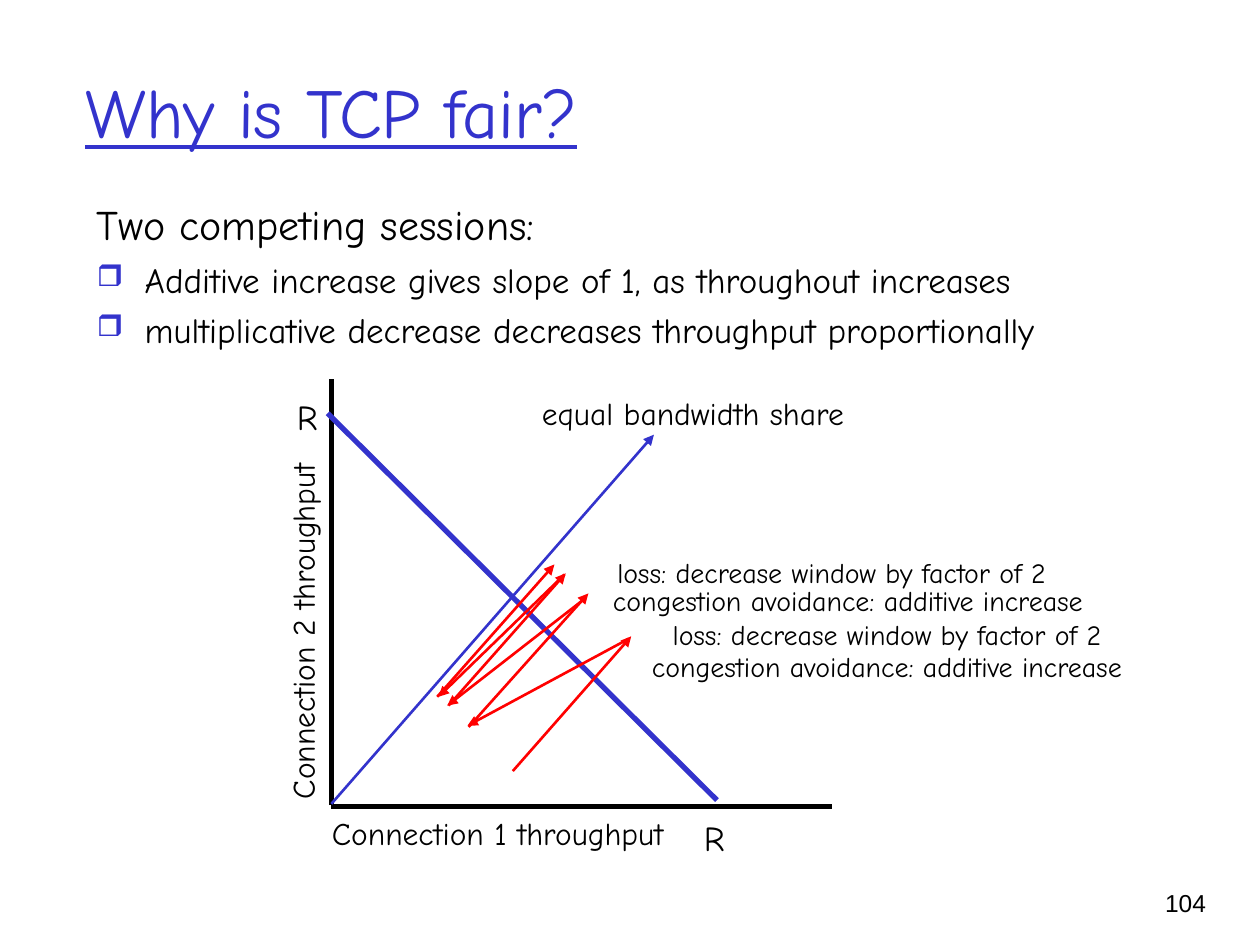
from dataclasses import dataclass

from lxml.etree import SubElement
from pptx import Presentation
from pptx.dml.color import RGBColor
from pptx.enum.shapes import MSO_CONNECTOR
from pptx.enum.text import MSO_ANCHOR, PP_ALIGN
from pptx.oxml.ns import qn
from pptx.slide import Slide
from pptx.util import Inches, Pt

BLUE = RGBColor(0x33, 0x33, 0xCC)
BLACK = RGBColor(0x00, 0x00, 0x00)
RED = RGBColor(0xFF, 0x00, 0x00)
WHITE = RGBColor(0xFF, 0xFF, 0xFF)
FONT = "Comic Neue"


@dataclass
class Line:
    start: tuple[float, float]
    end: tuple[float, float]
    color: RGBColor = RED
    width: float = 1.5
    arrow: bool = True


@dataclass
class Label:
    text: str
    left: float
    top: float
    width: float
    height: float
    size: float
    rotation: float = 0
    wrap: bool = True


AXES = [
    Line((2.63, 6.4), (6.6, 6.4), BLACK, 3, False),
    Line((2.63, 6.39), (2.63, 3.01), BLACK, 3, False),
]
GUIDES = [
    Line((2.63, 6.38), (5.19, 3.45), BLUE),
    Line((2.6, 3.28), (5.69, 6.35), BLUE, 3, False),
]
# Additive increase rises to the right, each loss falls back to the left
SAWTOOTH = [
    Line((4.07, 6.12), (5.01, 5.05)),
    Line((4.99, 5.07), (3.71, 5.76)),
    Line((3.72, 5.77), (4.67, 4.71)),
    Line((4.63, 4.76), (3.55, 5.6)),
    Line((3.56, 5.6), (4.49, 4.55)),
    Line((4.48, 4.56), (3.48, 5.53)),
    Line((3.47, 5.53), (4.4, 4.48)),
]

INCREASE = "congestion avoidance: additive increase"
LOSS = "loss: decrease window by factor of 2"
LABELS = [
    Label("R", 2.22, 3.09, 0.44, 0.44, 20),
    Label("R", 5.45, 6.43, 0.44, 0.44, 20),
    Label("equal bandwidth share", 3.56, 3.08, 3.88, 0.4, 18),
    Label("Connection 1 throughput", 2.01, 6.41, 3.88, 0.4, 18),
    Label("Connection 2 throughput", 0.46, 4.81, 3.88, 0.4, 18, rotation=270),
    Label(INCREASE, 4.56, 5.11, 4.96, 0.37, 16),
    Label(LOSS, 5.23, 4.85, 3.62, 0.37, 16, wrap=False),
    Label(INCREASE, 4.25, 4.58, 4.96, 0.37, 16),
    Label(LOSS, 4.79, 4.36, 3.62, 0.37, 16, wrap=False),
]


def add_box(slide: Slide, left: float, top: float, width: float, height: float):
    shape = slide.shapes.add_textbox(
        Inches(left), Inches(top), Inches(width), Inches(height))
    shape.text_frame.word_wrap = True
    return shape


def write(paragraph, text: str, *, size: float, color: RGBColor = BLACK,
          font: str = FONT, align=PP_ALIGN.LEFT, underline: bool = False) -> None:
    paragraph.alignment = align
    run = paragraph.add_run()
    run.text = text
    run.font.size = Pt(size)
    run.font.name = font
    run.font.color.rgb = color
    if underline:
        run.font.underline = True


def add_bullet(paragraph) -> None:
    properties = paragraph._p.get_or_add_pPr()
    properties.set("marL", str(Inches(0.38)))
    properties.set("indent", str(Inches(-0.38)))
    color = SubElement(properties, qn("a:buClr"))
    SubElement(color, qn("a:srgbClr"), val=str(BLUE))
    SubElement(properties, qn("a:buSzPct"), val="85000")
    SubElement(properties, qn("a:buChar"), char="❒")


def add_line(slide: Slide, line: Line) -> None:
    points = [Inches(value) for value in (*line.start, *line.end)]
    connector = slide.shapes.add_connector(MSO_CONNECTOR.STRAIGHT, *points)
    connector.line.color.rgb = line.color
    connector.line.width = Pt(line.width)
    if line.arrow:
        SubElement(connector.line._get_or_add_ln(), qn("a:tailEnd"), type="triangle")
    SubElement(connector._element.spPr, qn("a:effectLst"))


def add_label(slide: Slide, label: Label) -> None:
    shape = add_box(slide, label.left, label.top, label.width, label.height)
    shape.rotation = label.rotation
    shape.text_frame.word_wrap = label.wrap
    write(shape.text_frame.paragraphs[0], label.text, size=label.size,
          align=PP_ALIGN.CENTER)


def main() -> None:
    presentation = Presentation()
    presentation.slide_width = Inches(10)
    presentation.slide_height = Inches(7.5)
    slide = presentation.slides.add_slide(presentation.slide_layouts[6])
    slide.background.fill.solid()
    slide.background.fill.fore_color.rgb = WHITE

    # Title
    title = add_box(slide, 0.58, 0.25, 8.5, 1.25).text_frame
    title.vertical_anchor = MSO_ANCHOR.MIDDLE
    write(title.paragraphs[0], "Why is TCP fair?", size=40, color=BLUE, underline=True)

    # Introduction and bullets
    body = add_box(slide, 0.67, 1.53, 9.08, 5.08).text_frame
    write(body.paragraphs[0], "Two competing sessions:", size=24)
    for text in (
        "Additive increase gives slope of 1, as throughout increases",
        "multiplicative decrease decreases throughput proportionally",
    ):
        paragraph = body.add_paragraph()
        add_bullet(paragraph)
        paragraph.space_before = Pt(5)
        write(paragraph, text, size=20)

    # Throughput diagram
    for line in AXES + GUIDES + SAWTOOTH:
        add_line(slide, line)
    for label in LABELS:
        add_label(slide, label)

    # Slide number
    number = add_box(slide, 8.93, 7, 0.74, 0.5).text_frame
    write(number.paragraphs[0], "104", size=14, font="Arial", align=PP_ALIGN.RIGHT)

    presentation.save("out.pptx")


if __name__ == "__main__":
    main()
